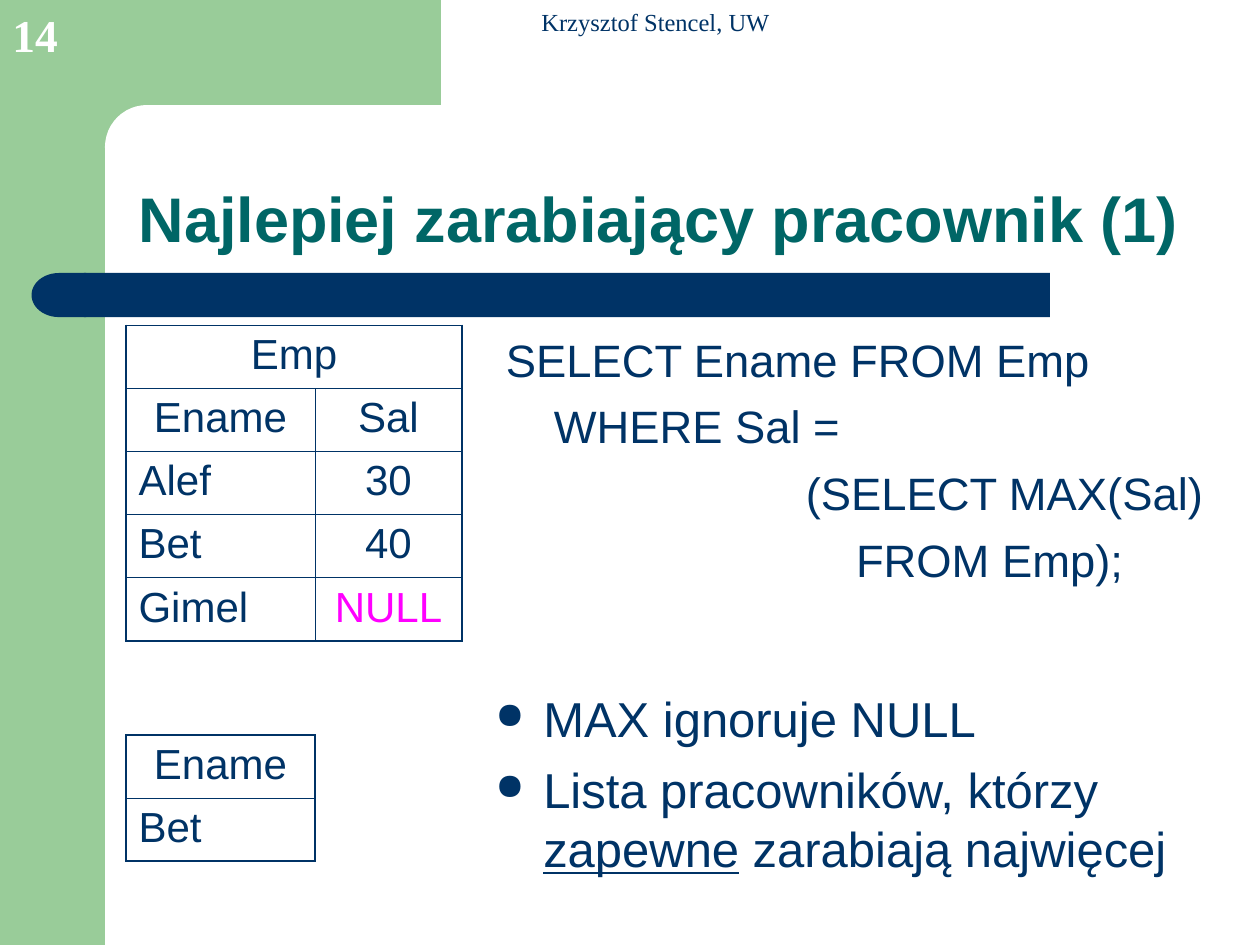
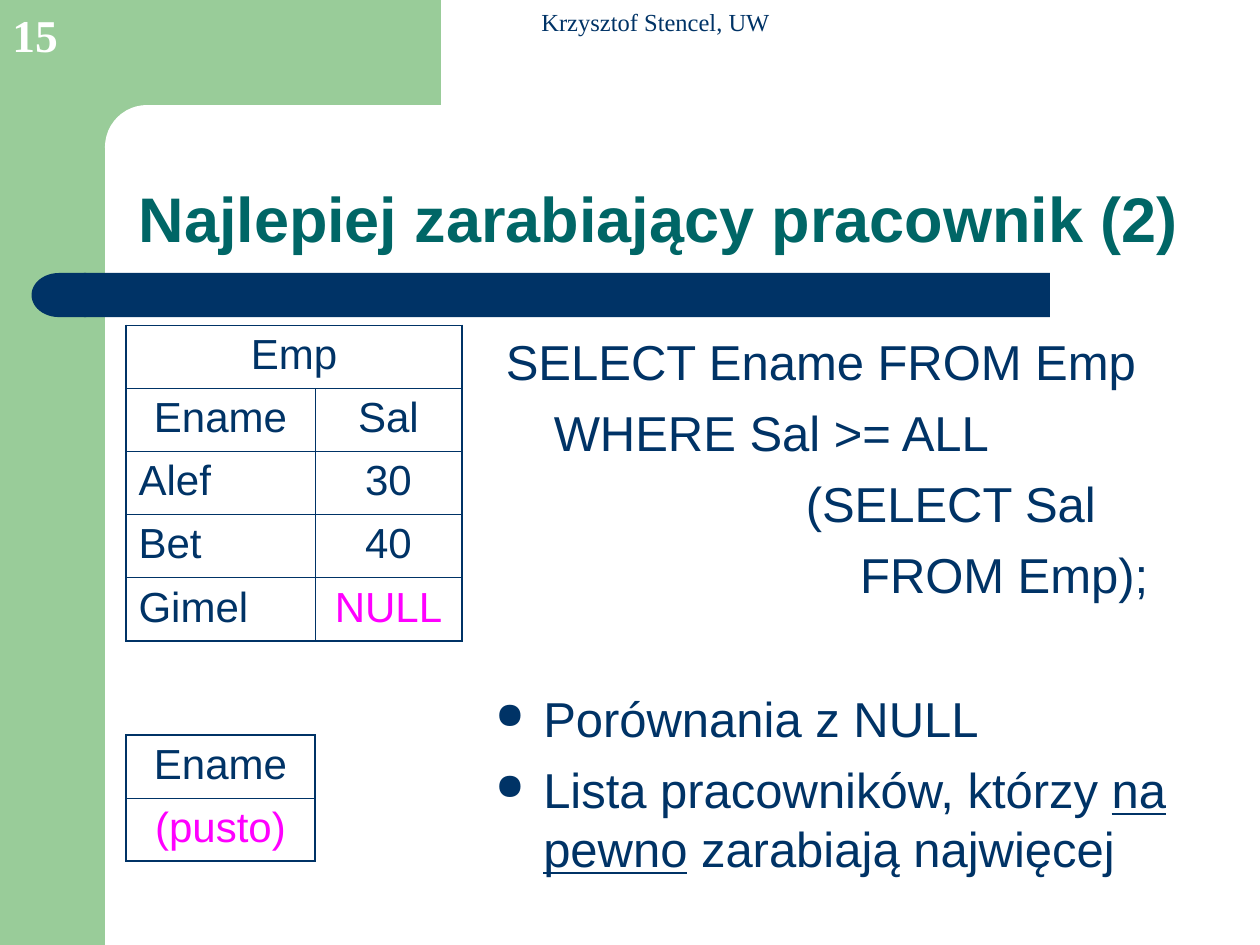
from lxml.etree import SubElement
from pptx import Presentation
from pptx.dml.color import RGBColor
from pptx.enum.shapes import MSO_SHAPE
from pptx.enum.text import MSO_ANCHOR, MSO_AUTO_SIZE, PP_ALIGN
from pptx.oxml.ns import qn
from pptx.util import Inches, Pt

COLORS = {
    "green": "99CC99",
    "white": "FFFFFF",
    "navy": "003366",
    "teal": "006666",
    "magenta": "FF00FF",
}
SANS, SERIF = "Arial", "Times New Roman"

# The slide is a grid of 120 columns by 90 rows
COLUMNS, ROWS = 120, 90
SLIDE_WIDTH, SLIDE_HEIGHT = Inches(10), Inches(7.5)
UNIT = SLIDE_WIDTH // COLUMNS

# Boxes as left, top, width, height in grid units
TITLE_BOX = (12, 10, 105, 15)
BAND_BOX = (3, 26, 97, 4.2)
EMP_BOX = (12, 31, 32, 30)
CODE_BOX = (47, 31, 70, 29)
RESULT_BOX = (12, 70, 18, 12)
NOTES_BOX = (46, 65, 70, 20)
AUTHOR_BOX = (42, 0, 38, 4.1)
NUMBER_BOX = (0, 0, 7.7, 6.5)

HANGING = Inches(0.38)
SUBQUERY_INDENT = HANGING + Inches(2)
OUTER_LINE, INNER_LINE = Pt(1.08), Pt(0.45)

EMP_ROWS = [["Emp", ""], ["Ename", "Sal"], ["Alef", "30"],
            ["Bet", "40"], ["Gimel", "NULL"]]
HIGHLIGHTED = {"NULL", "(pusto)"}

SLIDES = [
    {
        "number": "14",
        "title": "Najlepiej zarabiający pracownik (1)",
        "query": ["SELECT Ename FROM Emp", "WHERE Sal =",
                  "(SELECT MAX(Sal)", "FROM Emp);"],
        "query_size": 25.9,
        "result": [["Ename"], ["Bet"]],
        "notes": [["MAX ignoruje NULL"],
                  ["Lista pracowników, którzy ", "zapewne",
                   " zarabiają najwięcej"]],
    },
    {
        "number": "15",
        "title": "Najlepiej zarabiający pracownik (2)",
        "query": ["SELECT Ename FROM Emp", "WHERE Sal >= ALL",
                  "(SELECT Sal", "FROM Emp);"],
        "query_size": 28,
        "result": [["Ename"], ["(pusto)"]],
        "notes": [["Porównania z NULL"],
                  ["Lista pracowników, którzy ", "na pewno",
                   " zarabiają najwięcej"]],
    },
]


def grid(*lengths):
    return [round(length * UNIT) for length in lengths]


def rgb(color):
    return RGBColor.from_string(COLORS[color])


def add_run(paragraph, text, size, color="navy", font=SANS, bold=False):
    run = paragraph.add_run()
    run.text = text
    run.font.size = Pt(size)
    run.font.name = font
    run.font.bold = bold
    run.font.color.rgb = rgb(color)
    return run


def set_indent(paragraph, margin, first_line=0):
    properties = paragraph._p.get_or_add_pPr()
    properties.set("marL", str(round(margin)))
    properties.set("indent", str(round(first_line)))
    return properties


def add_text_frame(slide, box, anchor=MSO_ANCHOR.TOP):
    frame = slide.shapes.add_textbox(*grid(*box)).text_frame
    frame.word_wrap = True
    frame.vertical_anchor = anchor
    return frame


def next_paragraph(frame, index):
    return frame.add_paragraph() if index else frame.paragraphs[0]


def add_block(slide, preset, box, color):
    block = slide.shapes.add_shape(preset, *grid(*box))
    block.shadow.inherit = False
    block.fill.solid()
    block.fill.fore_color.rgb = rgb(color)
    block.line.fill.background()
    return block


def draw_corner(slide):
    # Green side and top with a rounded inner corner
    add_block(slide, MSO_SHAPE.RECTANGLE, (0, 0, 10, ROWS), "green")
    add_block(slide, MSO_SHAPE.RECTANGLE, (9, 0, 33, 14), "green")
    inner = add_block(slide, MSO_SHAPE.ROUNDED_RECTANGLE, (10, 10, 67, 8), "white")
    inner.adjustments[0] = 0.5


def draw_band(slide, box):
    # Navy band with a rounded left end
    left, top, width, height = box
    end_width = 5.2
    band = add_block(slide, MSO_SHAPE.ROUNDED_RECTANGLE,
                     (left + 5, top, width - 5, height), "navy")
    band.adjustments[0] = 0
    rounded_end = add_block(slide, MSO_SHAPE.FLOWCHART_DELAY,
                            (left, top, end_width, height), "navy")
    rounded_end.rotation = 180


def place_title(slide, box, text):
    title = slide.shapes.title
    title.left, title.top, title.width, title.height = grid(*box)
    title.element.getparent().append(title.element)  # in front of the corner
    frame = title.text_frame
    frame.auto_size = MSO_AUTO_SIZE.NONE
    frame.vertical_anchor = MSO_ANCHOR.BOTTOM
    paragraph = frame.paragraphs[0]
    paragraph.alignment = PP_ALIGN.LEFT
    paragraph.line_spacing = 0.9
    add_run(paragraph, text, 36, "teal", bold=True)


def place_author_and_number(slide, number):
    author = add_text_frame(slide, AUTHOR_BOX, MSO_ANCHOR.BOTTOM).paragraphs[0]
    author.alignment = PP_ALIGN.CENTER
    set_indent(author, Inches(0.24))
    add_run(author, "Krzysztof Stencel, UW", 14, font=SERIF)
    page = add_text_frame(slide, NUMBER_BOX, MSO_ANCHOR.BOTTOM).paragraphs[0]
    add_run(page, number, 26, "white", SERIF, bold=True)


def set_border(cell, side, width):
    line = SubElement(cell._tc.get_or_add_tcPr(), qn(f"a:ln{side}"), w=str(width))
    fill = SubElement(line, qn("a:solidFill"))
    SubElement(fill, qn("a:srgbClr"), val=COLORS["navy"])


def place_table(slide, box, rows, column_shares, heading_rows=1):
    row_count, column_count = len(rows), len(column_shares)
    table = slide.shapes.add_table(row_count, column_count, *grid(*box)).table
    table.first_row = table.horz_banding = False
    for column, share in zip(table.columns, column_shares):
        column.width = grid(box[2] * share)[0]
    if heading_rows > 1:
        table.cell(0, 0).merge(table.cell(0, column_count - 1))

    for r, row in enumerate(rows):
        for c, text in enumerate(row):
            cell = table.cell(r, c)
            last = c + (cell.span_width if cell.is_merge_origin else 1)
            outer_sides = {"L": c == 0, "R": last == column_count,
                           "T": r == 0, "B": r == row_count - 1}
            for side, is_outer in outer_sides.items():
                set_border(cell, side, OUTER_LINE if is_outer else INNER_LINE)
            cell.fill.background()
            if cell.is_spanned:
                continue
            paragraph = cell.text_frame.paragraphs[0]
            paragraph.space_before = Pt(6)
            if r < heading_rows or c > 0 or text in HIGHLIGHTED:
                paragraph.alignment = PP_ALIGN.CENTER
            add_run(paragraph, text, 24,
                    "magenta" if text in HIGHLIGHTED else "navy")


def place_query(slide, box, lines, size):
    frame = add_text_frame(slide, box)
    from_indent = SUBQUERY_INDENT + Pt(size * 1.11)
    indents = [0, HANGING, SUBQUERY_INDENT, from_indent]
    for index, (line, indent) in enumerate(zip(lines, indents)):
        paragraph = next_paragraph(frame, index)
        set_indent(paragraph, indent)
        paragraph.space_before = Pt(7)
        add_run(paragraph, line, size)


def place_notes(slide, box, notes):
    frame = add_text_frame(slide, box)
    for index, note in enumerate(notes):
        paragraph = next_paragraph(frame, index)
        paragraph.space_before = Pt(7)
        properties = set_indent(paragraph, HANGING, -HANGING)
        bullet_color = SubElement(properties, qn("a:buClr"))
        SubElement(bullet_color, qn("a:srgbClr"), val=COLORS["navy"])
        SubElement(properties, qn("a:buSzPct"), val="75000")
        SubElement(properties, qn("a:buChar"), char="●")
        for position, text in enumerate(note):
            run = add_run(paragraph, text, 28)
            run.font.underline = position == 1


def build_query_slide(presentation, content):
    slide = presentation.slides.add_slide(presentation.slide_layouts[5])
    draw_corner(slide)
    draw_band(slide, BAND_BOX)
    place_title(slide, TITLE_BOX, content["title"])
    place_query(slide, CODE_BOX, content["query"], content["query_size"])
    place_table(slide, EMP_BOX, EMP_ROWS, [18 / 32, 14 / 32], heading_rows=2)
    place_table(slide, RESULT_BOX, content["result"], [1])
    place_notes(slide, NOTES_BOX, content["notes"])
    place_author_and_number(slide, content["number"])


def main():
    presentation = Presentation()
    presentation.slide_width = SLIDE_WIDTH
    presentation.slide_height = SLIDE_HEIGHT
    for content in SLIDES:
        build_query_slide(presentation, content)
    presentation.save("out.pptx")


if __name__ == "__main__":
    main()
